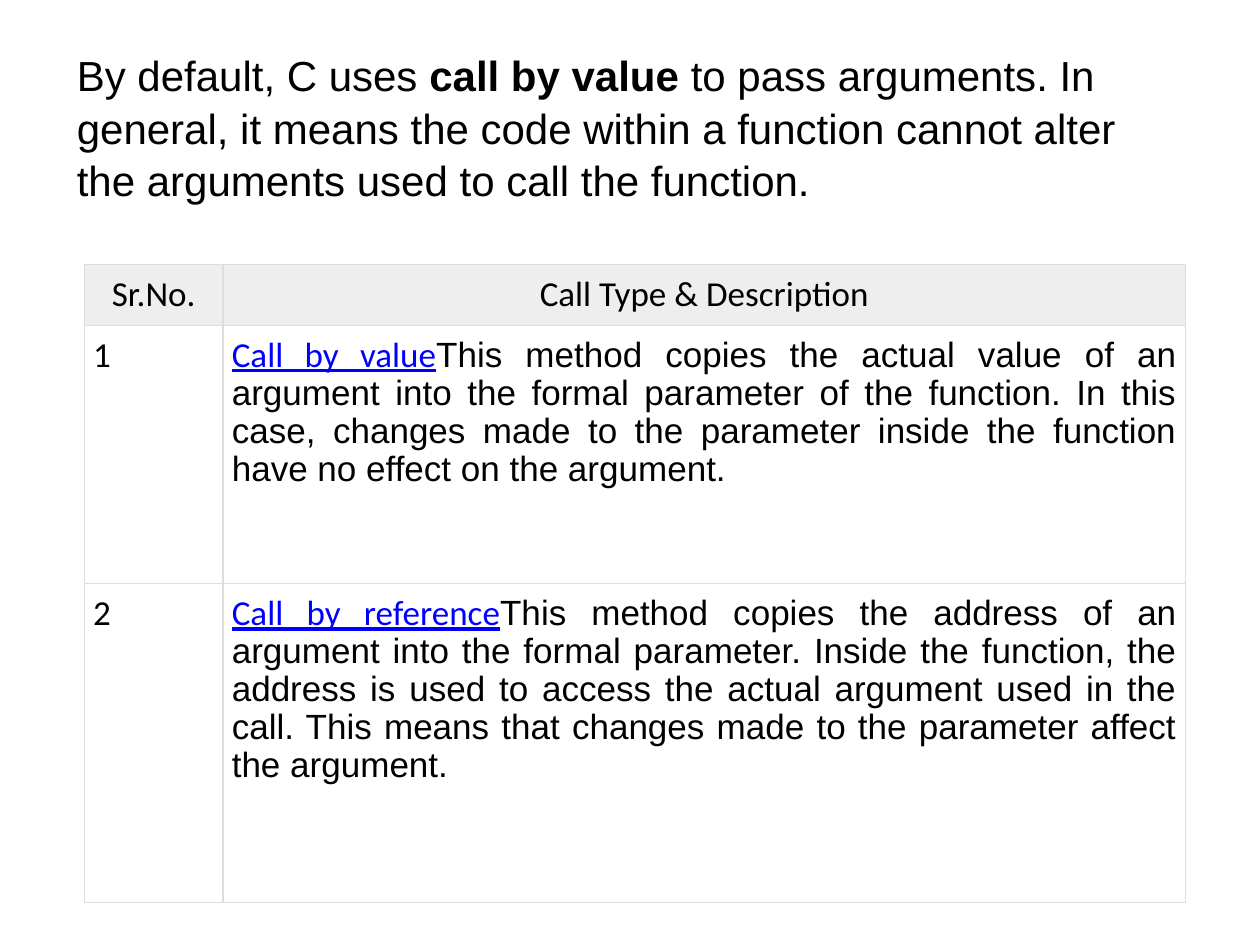
from lxml.etree import SubElement
from pptx import Presentation
from pptx.dml.color import RGBColor
from pptx.enum.text import MSO_ANCHOR, MSO_AUTO_SIZE, PP_ALIGN
from pptx.oxml.ns import qn
from pptx.util import Inches, Pt

COLORS = {"text": "000000", "link": "0000FF", "head": "EEEEEE", "line": "DDDDDD"}
INTRO = [
    ("By default, C uses ", False),
    ("call by value", True),
    (" to pass arguments. In general, it means the code within a function "
     "cannot alter the arguments used to call the function.", False),
]
HEADS = ["Sr.No.", "Call Type & Description"]
CALLS = [
    ("Call by value",
     "This method copies the actual value of an argument into the formal "
     "parameter of the function. In this case, changes made to the parameter "
     "inside the function have no effect on the argument."),
    ("Call by reference",
     "This method copies the address of an argument into the formal parameter. "
     "Inside the function, the address is used to access the actual argument "
     "used in the call. This means that changes made to the parameter affect "
     "the argument."),
]


def color(name):
    return RGBColor.from_string(COLORS[name])


def style(font, face, size, tint="text"):
    font.name = face
    font.size = Pt(size)
    font.color.rgb = color(tint)


def add_title(slide, left, top, width, height):
    title = slide.shapes.title
    title.left, title.top = Inches(left), Inches(top)
    title.width, title.height = Inches(width), Inches(height)
    frame = title.text_frame
    frame.word_wrap = True
    frame.auto_size = MSO_AUTO_SIZE.NONE
    frame.vertical_anchor = MSO_ANCHOR.MIDDLE
    frame.margin_bottom = Inches(0.42)
    para = frame.paragraphs[0]
    para.alignment = PP_ALIGN.LEFT
    para.line_spacing = 1.05
    style(para.font, "Arial", 24)
    for text, bold in INTRO:
        run = para.add_run()
        run.text = text
        run.font.bold = bold


def add_border(cell):
    props = cell._tc.get_or_add_tcPr()
    for side in ("a:lnL", "a:lnR", "a:lnT", "a:lnB"):
        line = SubElement(props, qn(side), w=str(Pt(0.75)))
        fill = SubElement(line, qn("a:solidFill"))
        SubElement(fill, qn("a:srgbClr"), val=COLORS["line"])


def fill_cell(cell, text, align, head=False):
    cell.margin_left = cell.margin_right = Inches(0.07)
    cell.margin_top = cell.margin_bottom = Inches(0.07)
    add_border(cell)
    if head:
        cell.fill.solid()
        cell.fill.fore_color.rgb = color("head")
    else:
        cell.fill.background()
    para = cell.text_frame.paragraphs[0]
    para.alignment = align
    style(para.font, "Calibri", 20)
    run = para.add_run()
    run.text = text
    run.font.bold = False
    style(run.font, "Calibri", 20)
    return para


def fill_call(cell, name, about):
    para = fill_cell(cell, name, PP_ALIGN.JUSTIFY)
    para.line_spacing = 0.97
    link = para.runs[0]
    link.font.underline = True
    link.font.color.rgb = color("link")
    run = para.add_run()
    run.text = about
    style(run.font, "Arial", 20)


def add_calls(slide, left, top, widths, heights):
    table = slide.shapes.add_table(
        len(heights), len(widths), Inches(left), Inches(top),
        Inches(sum(widths)), Inches(sum(heights))).table
    table.horz_banding = False
    for col, width in zip(table.columns, widths):
        col.width = Inches(width)
    for row, height in zip(table.rows, heights):
        row.height = Inches(height)
    for col, text in enumerate(HEADS):
        fill_cell(table.cell(0, col), text, PP_ALIGN.CENTER, head=True)
    for row, (name, about) in enumerate(CALLS, 1):
        fill_cell(table.cell(row, 0), str(row), PP_ALIGN.LEFT)
        fill_call(table.cell(row, 1), name, about)


def main():
    deck = Presentation()
    deck.slide_width, deck.slide_height = Inches(10), Inches(7.5)
    slide = deck.slides.add_slide(deck.slide_layouts[5])
    add_title(slide, 0.51, 0.56, 9, 1.25)
    add_calls(slide, 0.67, 2.1, [1.1, 7.64], [0.37, 2.05, 2.53])
    deck.save("out.pptx")


if __name__ == "__main__":
    main()
